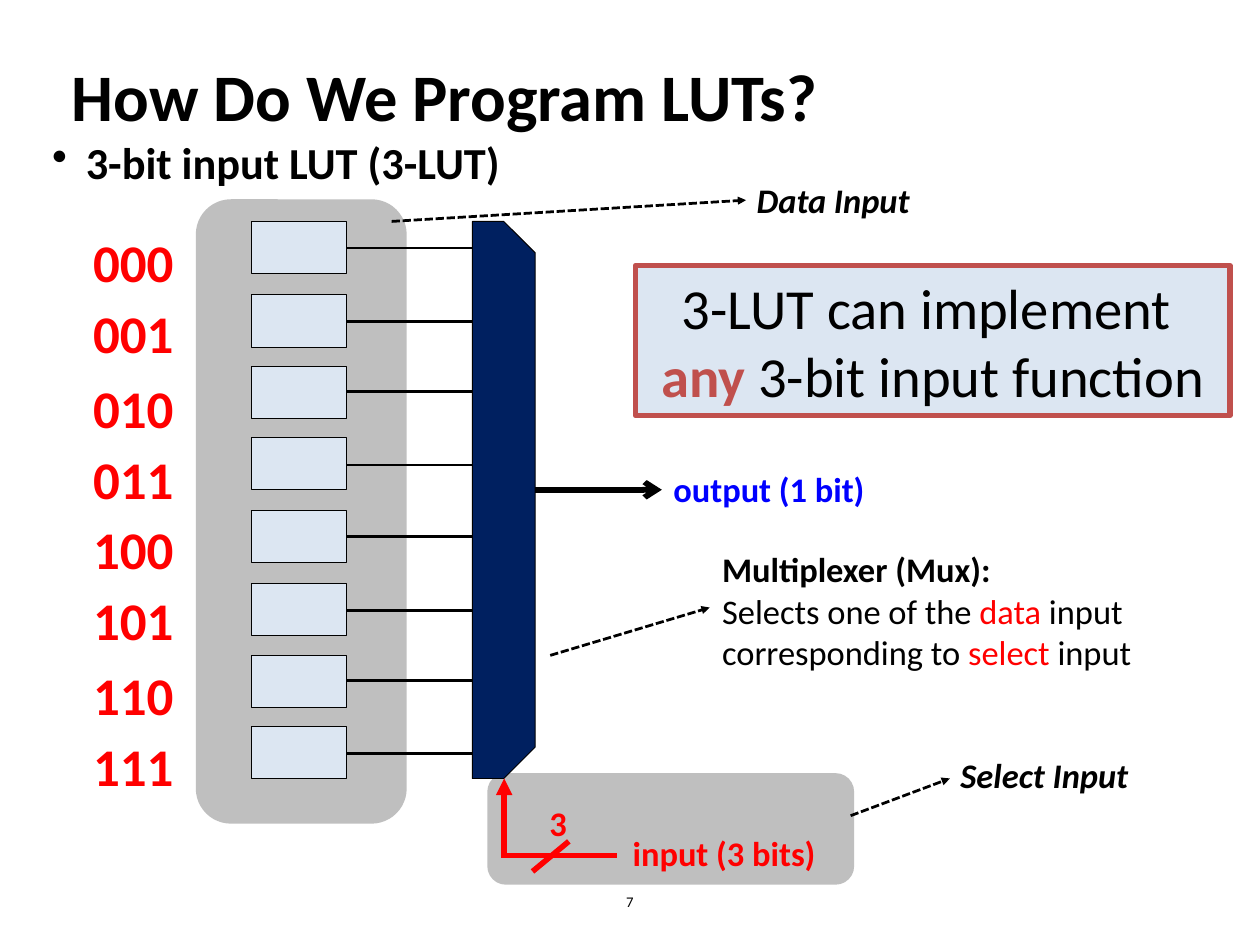
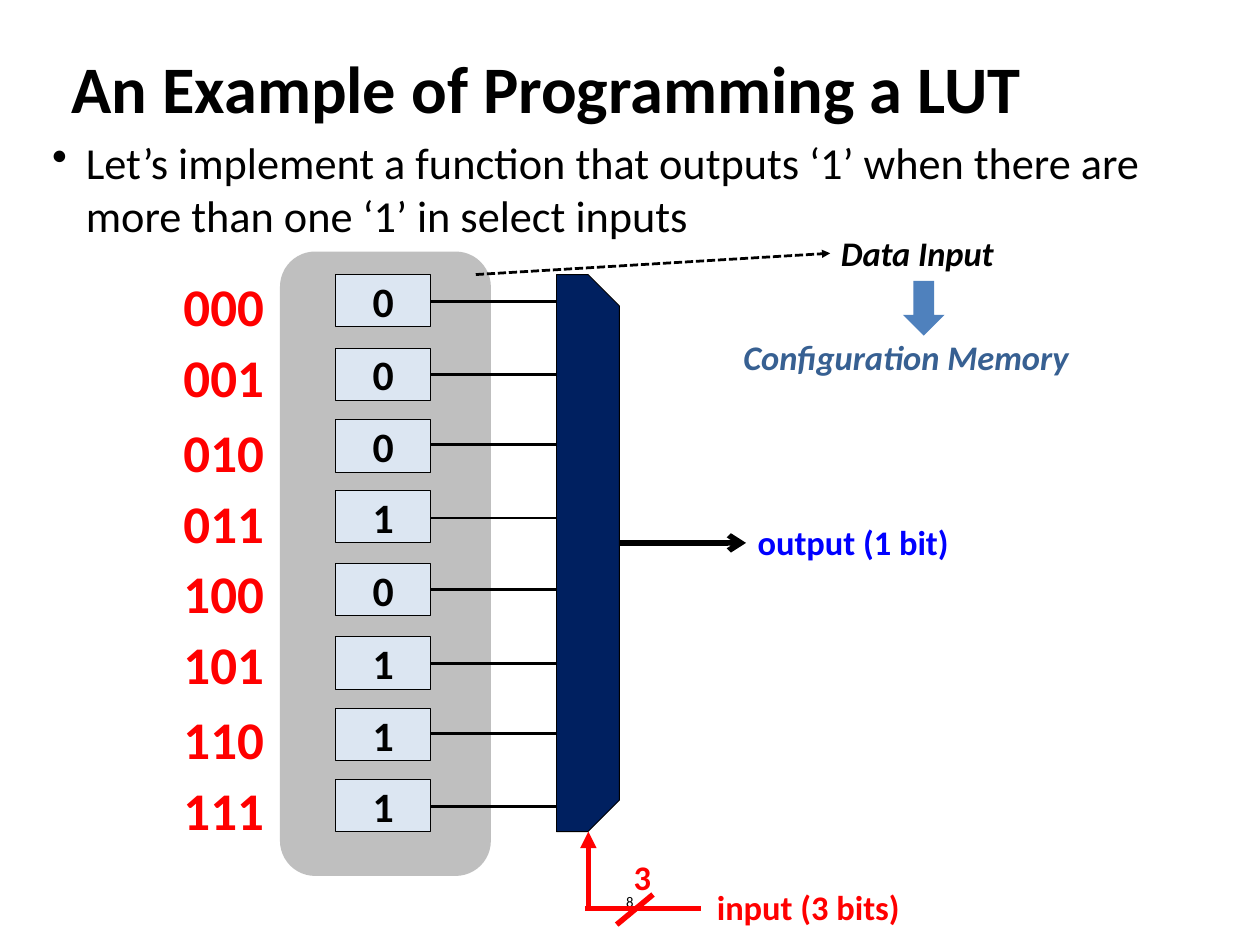
"""Build two slides on programming a three-bit lookup table."""
from lxml.etree import SubElement
from pptx import Presentation
from pptx.dml.color import RGBColor
from pptx.enum.shapes import MSO_CONNECTOR, MSO_SHAPE
from pptx.enum.text import MSO_ANCHOR, PP_ALIGN
from pptx.oxml.ns import qn
from pptx.util import Pt

PX = 9144
BLACK, RED, BLUE, GREY = "000000", "FF0000", "0000FF", "BFBFBF"
NAVY, PALE, BRICK, STEEL, SKY = "002060", "DCE6F2", "C0504D", "376092", "4F81BD"
LEFT, CENTER = PP_ALIGN.LEFT, PP_ALIGN.CENTER
TOP, MIDDLE = MSO_ANCHOR.TOP, MSO_ANCHOR.MIDDLE
color = RGBColor.from_string


def place(slide, kind, box, lines=(), size=28, align=LEFT, anchor=TOP,
          inset=(14, 7), fill=None, edge=None, weight=0.75):
    """Place a shape, or a text box when kind is None, with lines of (text, color, style) runs."""
    box = [length * PX for length in box]
    if kind is None:
        shape = slide.shapes.add_textbox(*box)
    else:
        shape = slide.shapes.add_shape(kind, *box)
        shape.shadow.inherit = False
        shape.fill.solid()
        shape.fill.fore_color.rgb = color(fill)
        if edge:
            shape.line.color.rgb = color(edge)
            shape.line.width = Pt(weight)
        else:
            shape.line.fill.background()
    frame = shape.text_frame
    across, down = inset[0] * PX, inset[1] * PX
    layout = {"word_wrap": True, "vertical_anchor": anchor, "margin_left": across,
              "margin_right": across, "margin_top": down, "margin_bottom": down}
    for key, value in layout.items():
        setattr(frame, key, value)
    for index, runs in enumerate(lines):
        paragraph = frame.add_paragraph() if index else frame.paragraphs[0]
        paragraph.alignment = align
        for text, ink, style in runs:
            run = paragraph.add_run()
            run.text = text
            look = {"name": "Calibri", "size": Pt(size), "bold": "b" in style, "italic": "i" in style}
            for key, value in look.items():
                setattr(run.font, key, value)
            run.font.color.rgb = color(ink)
    return shape


def connect(slide, start, end, ink=BLACK, weight=2.25, dash=None, head=None):
    """Draw a straight line, optionally dashed, with an arrowhead at its end."""
    points = [length * PX for length in (*start, *end)]
    connector = slide.shapes.add_connector(MSO_CONNECTOR.STRAIGHT, *points)
    connector.line.color.rgb = color(ink)
    connector.line.width = Pt(weight)
    properties = connector.element.spPr
    outline = properties.find(qn("a:ln"))
    if dash:
        SubElement(outline, qn("a:prstDash"), val=dash)
    if head:
        SubElement(outline, qn("a:tailEnd"), type=head)
    SubElement(properties, qn("a:effectLst"))


deck = Presentation()
deck.slide_width, deck.slide_height = 1422 * PX, 1067 * PX

topics = [
    {"number": "7", "title": "How Do We Program LUTs?", "title_top": 18,
     "point": "3-bit input LUT (3-LUT)", "point_style": "b",
     "panels": [(550, 873, 414, 126), (221, 225, 238, 705)],
     "shift": (0, 0), "address_shift": (0, 0), "bits": ""},
    {"number": "8", "title": "An Example of Programming a LUT", "title_top": 9,
     "point": "Let’s implement a function that outputs ‘1’ when there are "
              "more than one ‘1’ in select inputs", "point_style": "",
     "panels": [(316, 284, 238, 705)],
     "shift": (95, 60), "address_shift": (102, 50), "bits": "00010111"},
]
cell_tops = [250, 333, 414, 494]
wire_levels = [280, 363, 442, 525]
address_tops = [252, 332, 417, 497]

slides = []
for topic in topics:
    slide = deck.slides.add_slide(deck.slide_layouts[6])
    slides.append(slide)
    dx, dy = topic["shift"]
    address_dx, address_dy = topic["address_shift"]

    for panel in topic["panels"]:
        place(slide, MSO_SHAPE.ROUNDED_RECTANGLE, panel, fill=GREY)
    point = place(slide, None, (49, 148, 1339, 808),
                  [[(topic["point"], BLACK, topic["point_style"])]], 36, inset=(10, 5))
    bullet = point.text_frame.paragraphs[0]._p.get_or_add_pPr()
    bullet.set("marL", str(38 * PX))
    bullet.set("indent", str(-38 * PX))
    SubElement(bullet, qn("a:buChar"), char="•")
    place(slide, None, (71, topic["title_top"], 1280, 178),
          [[(topic["title"], BLACK, "b")]], 54, anchor=MIDDLE, inset=(10, 5))
    place(slide, None, (486, 989, 450, 57), [[(topic["number"], BLACK, "")]], 12, CENTER, MIDDLE)

    mux = place(slide, MSO_SHAPE.SNIP_2_SAME_RECTANGLE, (254 + dx, 529 + dy, 629, 71),
                fill=NAVY, edge=BLACK)
    mux.rotation = 90
    mux.adjustments[0], mux.adjustments[1] = 0.5, 0

    for row in range(8):
        half, step = divmod(row, 4)
        bit = topic["bits"][row:row + 1]
        place(slide, MSO_SHAPE.RECTANGLE, (284 + dx, cell_tops[step] + 326 * half + dy, 107, 59),
              [[(bit, BLACK, "b")]] if bit else (), 34, CENTER, MIDDLE, (0, 0), PALE, BLACK)
        level = wire_levels[step] + 326 * half + dy
        connect(slide, (391 + dx, level), (533 + dx, level))
        place(slide, None,
              (89 + address_dx, address_tops[step] + 324 * half + address_dy, 123, 87),
              [[(f"{row:03b}", RED, "b")]], 43, CENTER)

    for start, end, ink, weight, dash, head in [
        ((569, 966), (569, 879), RED, 4.5, None, "triangle"),
        ((696, 966), (565, 966), RED, 4.5, None, None),
        ((642, 950), (601, 984), RED, 4.5, None, None),
        ((604, 553), (747, 553), BLACK, 4.5, None, "arrow"),
        ((442, 250), (842, 226), BLACK, 2.25, "sysDash", "triangle"),
    ]:
        connect(slide, (start[0] + dx, start[1] + dy), (end[0] + dx, end[1] + dy),
                ink, weight, dash, head)

    for left, top, width, label, ink, style in [
        (700, 933, 284, "input (3 bits)", RED, "b"),
        (746, 521, 284, "output (1 bit)", BLUE, "b"),
        (840, 195, 464, "Data Input", BLACK, "bi"),
        (606, 899, 284, "3", RED, "b"),
    ]:
        place(slide, None, (left + dx, top + dy, width, 62), [[(label, ink, style)]])

programming, example = slides

connect(programming, (621, 740), (801, 686), dash="sysDash", head="triangle")
place(programming, None, (801, 612, 600, 158), [
    [("Multiplexer (Mux):", BLACK, "b")],
    [("Selects one of the ", BLACK, ""), ("data", RED, ""),
     (" input corresponding to ", BLACK, ""), ("select", RED, ""), (" input", BLACK, "")],
])
connect(programming, (960, 921), (1072, 879), dash="sysDash", head="triangle")
place(programming, None, (1070, 844, 340, 62), [[("Select Input", BLACK, "bi")]])
place(programming, MSO_SHAPE.RECTANGLE, (717, 300, 671, 169), [
    [("3-LUT can implement ", BLACK, "")],
    [("any", BRICK, "b"), (" 3-bit input function", BLACK, "")],
], 46, CENTER, MIDDLE, fill=PALE, edge=BRICK, weight=4.5)

place(example, MSO_SHAPE.DOWN_ARROW, (1019, 317, 47, 62), fill=SKY)
place(example, None, (825, 373, 464, 62), [[("Configuration Memory", STEEL, "bi")]])

deck.save("out.pptx")
